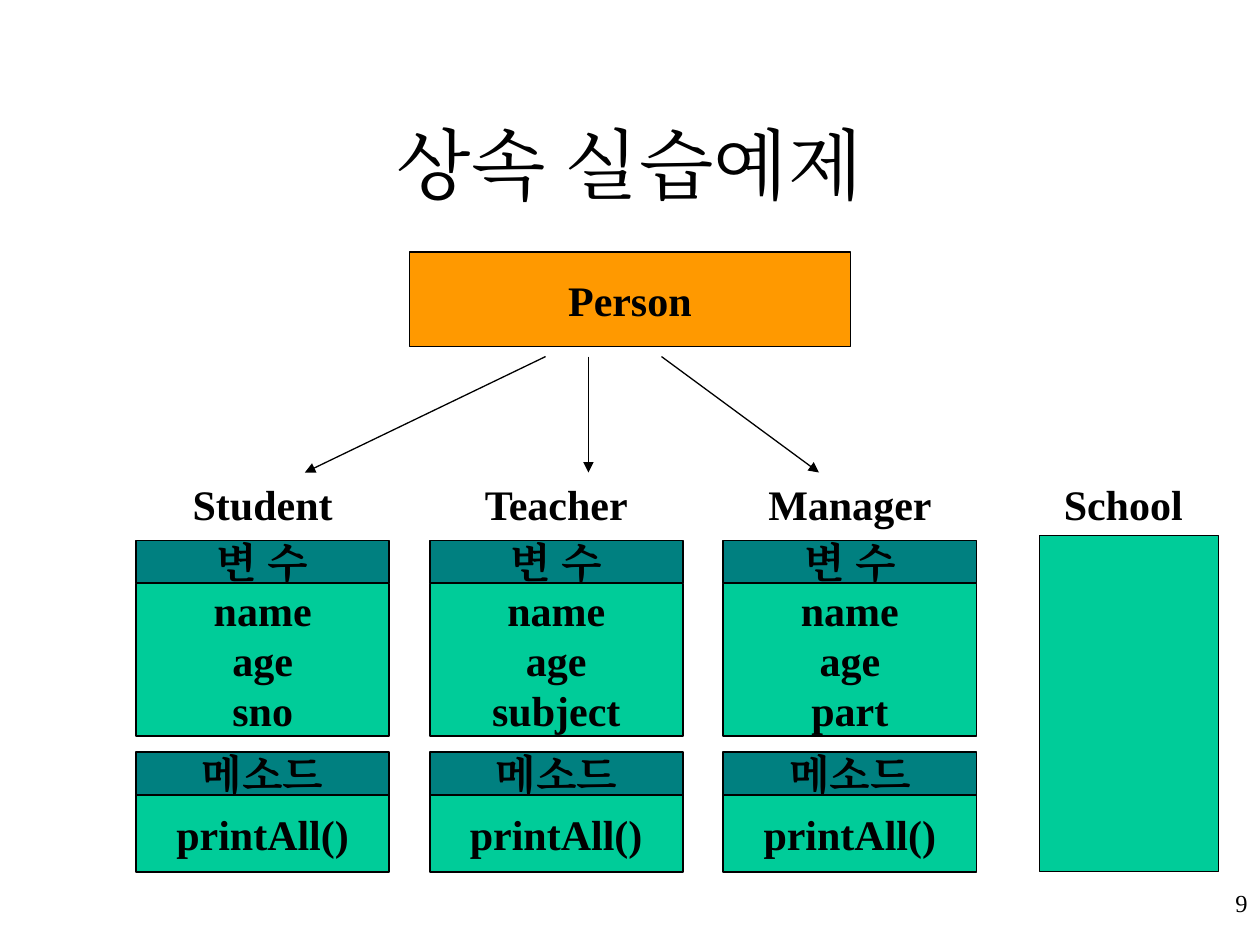
from lxml import etree
from pptx import Presentation
from pptx.dml.color import RGBColor
from pptx.enum.shapes import MSO_CONNECTOR, MSO_SHAPE
from pptx.enum.text import MSO_ANCHOR, PP_ALIGN
from pptx.oxml.ns import qn
from pptx.util import Inches, Pt

COLORS = {"black": "000000", "green": "00CC99", "teal": "008080", "orange": "FF9900"}
FONT = "Times New Roman"


def write(shape, lines, size=24, bold=True, align=PP_ALIGN.CENTER,
          anchor=MSO_ANCHOR.MIDDLE, wrap=True):
    """Put one paragraph per line into the shape, in the slide's font."""
    frame = shape.text_frame
    frame.word_wrap = wrap
    frame.vertical_anchor = anchor
    for index, line in enumerate(lines):
        para = frame.paragraphs[0] if index == 0 else frame.add_paragraph()
        para.alignment = align
        span = para.add_run()
        span.text = line
        span.font.name = FONT
        span.font.size = Pt(size)
        span.font.bold = bold
        span.font.color.rgb = RGBColor.from_string(COLORS["black"])
        east_asian = etree.SubElement(span.font._element, qn("a:ea"))
        east_asian.set("typeface", FONT)


def add_box(left, top, width, height, fill, lines=(), border=0.75):
    box = page.shapes.add_shape(MSO_SHAPE.RECTANGLE, Inches(left), Inches(top),
                                Inches(width), Inches(height))
    box.shadow.inherit = False
    box.fill.solid()
    box.fill.fore_color.rgb = RGBColor.from_string(COLORS[fill])
    box.line.color.rgb = RGBColor.from_string(COLORS["black"])
    box.line.width = Pt(border)
    write(box, lines, wrap=False)


deck = Presentation()
deck.slide_width, deck.slide_height = Inches(10), Inches(7.5)
page = deck.slides.add_slide(deck.slide_layouts[5])

title = page.shapes.title
title.left, title.top = Inches(0.75), Inches(0.67)
title.width, title.height = Inches(8.5), Inches(1.25)
write(title, ["상속 실습예제"], size=44, bold=False)

# Subclasses: variables above, methods below
column_width = 2.01
subclasses = [("Student", "sno"), ("Teacher", "subject"), ("Manager", "part")]
labels = []
for index, (name, own_field) in enumerate(subclasses):
    left = 1.08 + 2.33 * index
    labels.append((name, left))
    for top, height, fill, lines in [
        (4.63, 1.21, "green", ["name", "age", own_field]),
        (4.29, 0.34, "teal", ["변 수"]),
        (6.31, 0.61, "green", ["printAll()"]),
        (5.97, 0.34, "teal", ["메소드"]),
    ]:
        add_box(left, top, column_width, height, fill, lines, border=1)

labels.append(("School", 7.91))
for name, left in labels:
    label = page.shapes.add_textbox(Inches(left), Inches(3.75),
                                    Inches(column_width), Inches(0.5))
    write(label, [name], anchor=MSO_ANCHOR.TOP)

add_box(8.25, 4.25, 1.42, 2.67, "green")
add_box(3.25, 2, 3.5, 0.75, "orange", ["Person"])

# Inheritance arrows from Person to its subclasses
for start_x, end_x in [(4.33, 2.42), (4.67, 4.67), (5.25, 6.5)]:
    arrow = page.shapes.add_connector(MSO_CONNECTOR.STRAIGHT, Inches(start_x), Inches(2.83),
                                      Inches(end_x), Inches(3.75))
    arrow.line.color.rgb = RGBColor.from_string(COLORS["black"])
    arrow.line.width = Pt(0.75)
    etree.SubElement(arrow.line._get_or_add_ln(), qn("a:tailEnd")).set("type", "triangle")
    etree.SubElement(arrow._element.spPr, qn("a:effectLst"))

page_number = page.shapes.add_textbox(Inches(7.92), Inches(7), Inches(2.08), Inches(0.5))
write(page_number, ["9"], size=14, bold=False, align=PP_ALIGN.RIGHT, anchor=MSO_ANCHOR.TOP)

deck.save("out.pptx")
